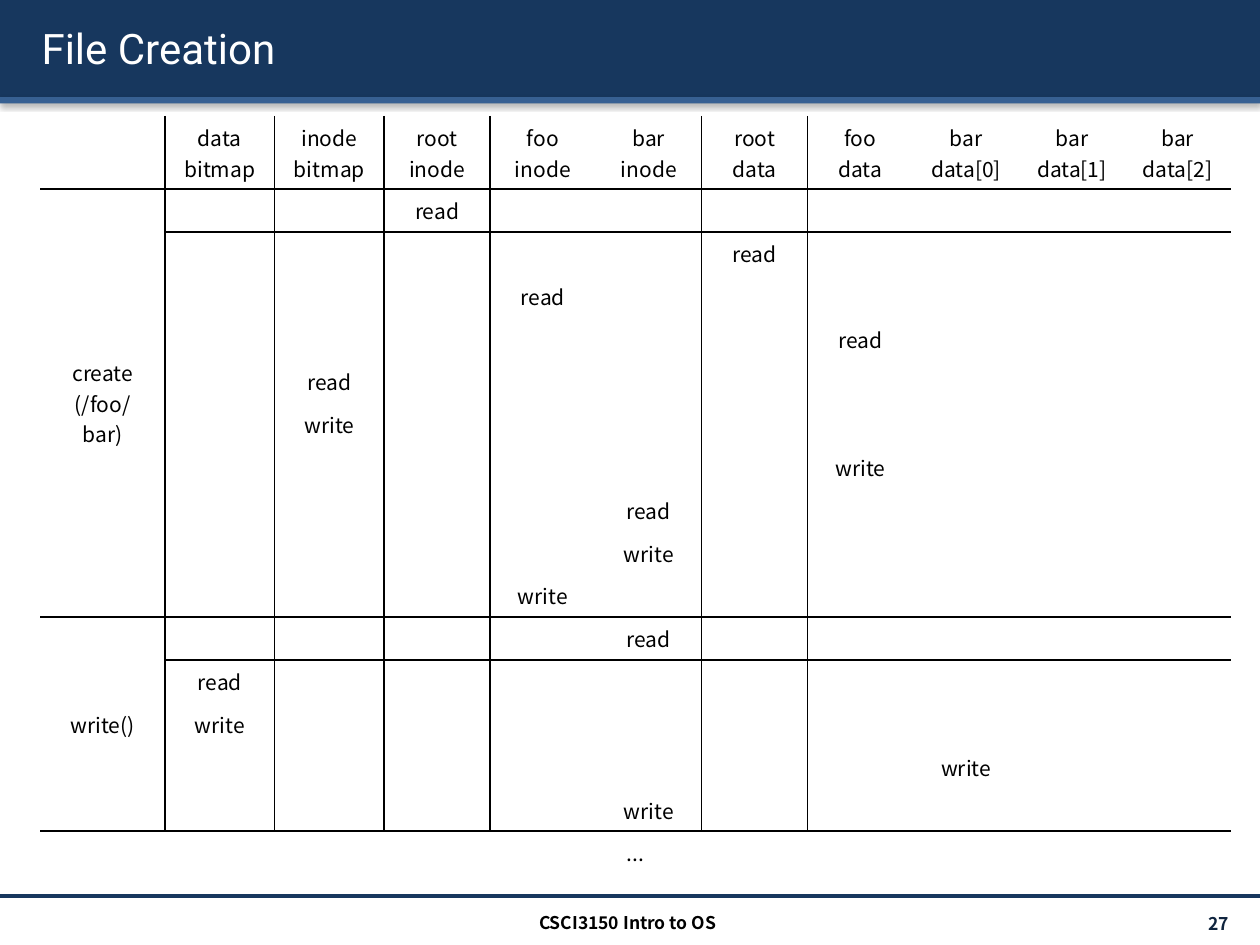
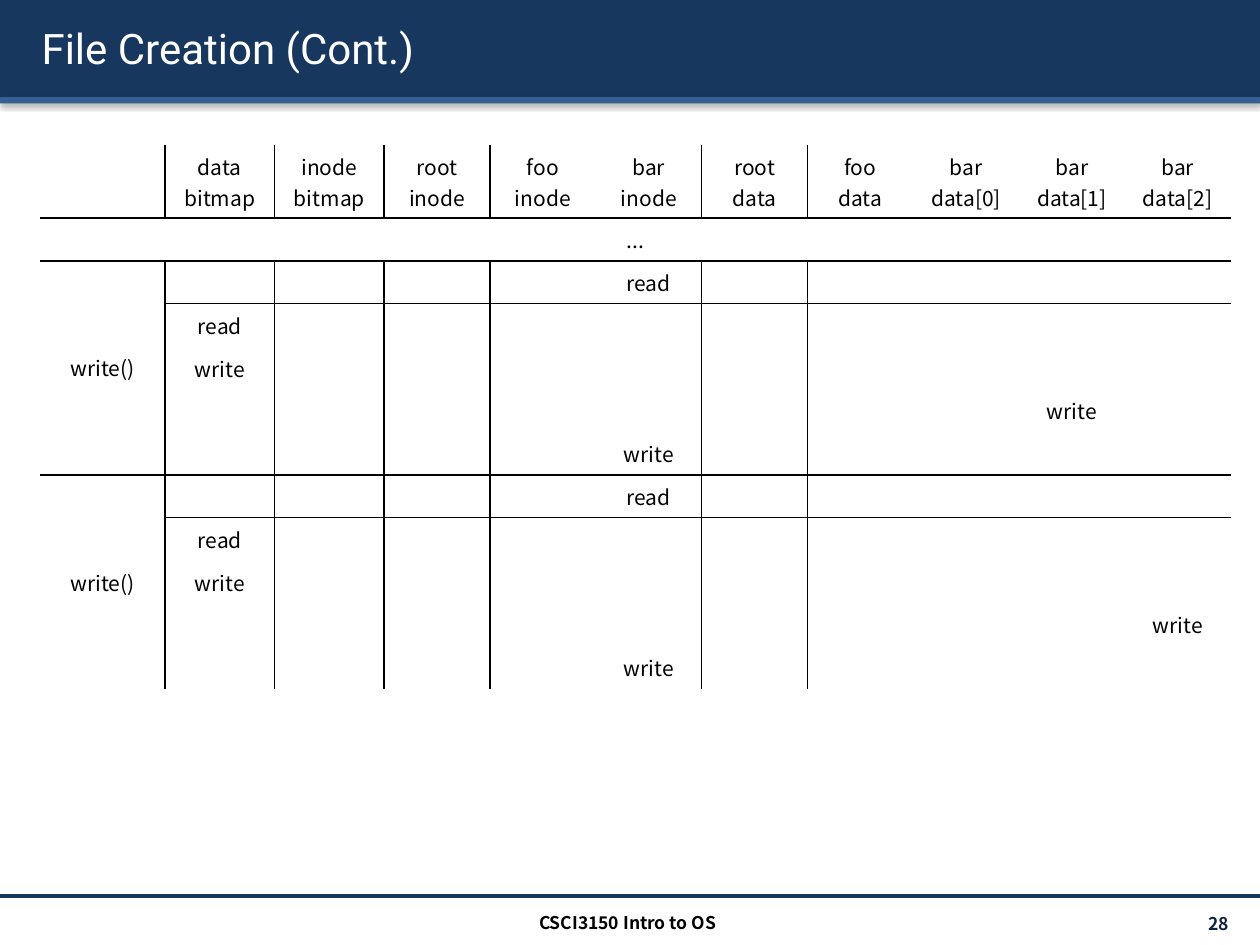
from dataclasses import dataclass

from lxml import etree
from pptx import Presentation
from pptx import util as u
from pptx.dml.color import RGBColor
from pptx.enum import shapes, text
from pptx.oxml.ns import qn


@dataclass(frozen=True)
class Theme:
    navy: str = "17375E"
    blue: str = "376092"
    number: str = "0F243E"
    ink: str = "000000"
    white: str = "FFFFFF"
    title_font: str = "Roboto"
    body_font: str = "Noto Sans CJK KR"
    title_size: int = 24
    table_size: int = 12
    footer_size: int = 10
    rule_width: int = 1


THEME = Theme()
PLAIN_TABLE_STYLE = "{2D5ABB26-0587-4C30-8999-92F81FD0307C}"
FIRST_PAGE_NUMBER = 27

# Table structure
HEADERS = ["", "data\nbitmap", "inode\nbitmap", "root\ninode", "foo\ninode",
           "bar\ninode", "root\ndata", "foo\ndata", "bar\ndata[0]",
           "bar\ndata[1]", "bar\ndata[2]"]
COLUMN_WIDTHS = [0.99] + [0.87] * 2 + [0.84] * 8
GROUP_ENDS = (0, 2, 5)
HEADER_HEIGHT, ROW_HEIGHT = 0.58, 0.34
(DATA_BITMAP, INODE_BITMAP, ROOT_INODE, FOO_INODE, BAR_INODE,
 ROOT_DATA, FOO_DATA, BAR_DATA_0, BAR_DATA_1, BAR_DATA_2) = range(1, 11)

ELLIPSIS = ("...", [])
CREATE = ("create\n(/foo/bar)", [
    ("read", ROOT_INODE), ("read", ROOT_DATA), ("read", FOO_INODE),
    ("read", FOO_DATA), ("read", INODE_BITMAP), ("write", INODE_BITMAP),
    ("write", FOO_DATA), ("read", BAR_INODE), ("write", BAR_INODE),
    ("write", FOO_INODE)])


def write_call(block):
    """Accesses made by one write() that fills the given data block."""
    return ("write()", [
        ("read", BAR_INODE), ("read", DATA_BITMAP), ("write", DATA_BITMAP),
        ("write", block), ("write", BAR_INODE)])


# Title, table top and sections of each slide
PAGES = [
    ("File Creation", 0.92, [CREATE, write_call(BAR_DATA_0), ELLIPSIS]),
    ("File Creation (Cont.)", 1.15,
     [ELLIPSIS, write_call(BAR_DATA_1), write_call(BAR_DATA_2)]),
]


def rgb(color):
    return RGBColor.from_string(color)


def style(para, size, color, font, bold=False, align=text.PP_ALIGN.LEFT):
    para.alignment = align
    para.font.size = u.Pt(size)
    para.font.bold = bold
    para.font.color.rgb = rgb(color)
    para.font.name = font


def add_shadow(effects, blur, distance, angle, opacity):
    shadow = etree.SubElement(
        effects, qn("a:outerShdw"), blurRad=str(u.Pt(blur)),
        dist=str(u.Pt(distance)), dir=str(angle * 60000), rotWithShape="0")
    color = etree.SubElement(shadow, qn("a:srgbClr"), val=THEME.ink)
    etree.SubElement(color, qn("a:alpha"), val=str(opacity * 1000))


# Bands and footer rule, shared through the layout
def add_frame(layout, page):
    parts = []
    for top, height, color in ((0, 0.77, THEME.navy), (0.77, 0.05, THEME.blue)):
        band = page.shapes.add_shape(
            shapes.MSO_SHAPE.RECTANGLE, 0, u.Inches(top), u.Inches(10), u.Inches(height))
        band.fill.solid()
        band.fill.fore_color.rgb = rgb(color)
        band.line.fill.background()
        band.shadow.inherit = False
        add_shadow(band._element.spPr.find(qn("a:effectLst")), 3.1, 1.6, 90, 38)
        parts.append(band)
    rule = page.shapes.add_connector(
        shapes.MSO_CONNECTOR.STRAIGHT, 0, u.Inches(7.11), u.Inches(10), u.Inches(7.11))
    rule.line.color.rgb = rgb(THEME.navy)
    rule.line.width = u.Pt(2)
    etree.SubElement(rule._element.spPr, qn("a:effectLst"))
    parts.append(rule)
    for part in parts:
        layout.shapes._spTree.append(part._element)


def add_title(page, title, left, top, width, height):
    box = page.shapes.title
    box.left, box.top, box.width, box.height = map(u.Inches, (left, top, width, height))
    frame = box.text_frame
    frame.text = title
    frame.auto_size = text.MSO_AUTO_SIZE.NONE
    frame.vertical_anchor = text.MSO_ANCHOR.MIDDLE
    para = frame.paragraphs[0]
    style(para, THEME.title_size, THEME.white, THEME.title_font)
    # Text shadow follows the fill in the run properties
    effects = etree.Element(qn("a:effectLst"))
    add_shadow(effects, 1, 2, 45, 100)
    para._p.pPr.find(qn("a:defRPr")).find(qn("a:solidFill")).addnext(effects)


def add_footer_text(page, words, color, align, left, top, width, height):
    box = page.shapes.add_textbox(*map(u.Inches, (left, top, width, height)))
    frame = box.text_frame
    frame.word_wrap = True
    frame.vertical_anchor = text.MSO_ANCHOR.MIDDLE
    frame.text = words
    style(frame.paragraphs[0], THEME.footer_size, color, THEME.body_font, True, align)


# Access table
def set_borders(cell, sides):
    properties = cell._tc.get_or_add_tcPr()
    for side in ("L", "R", "T", "B"):
        if side in sides:
            line = etree.SubElement(
                properties, qn(f"a:ln{side}"), w=str(u.Pt(THEME.rule_width)))
            fill = etree.SubElement(line, qn("a:solidFill"))
            etree.SubElement(fill, qn("a:srgbClr"), val=THEME.ink)


def format_cell(cell, words, sides):
    cell.text = words
    cell.vertical_anchor = text.MSO_ANCHOR.MIDDLE
    cell.margin_left = cell.margin_right = u.Inches(0.12 if "/" in words else 0.14)
    cell.margin_top = cell.margin_bottom = u.Inches(0.05)
    for para in cell.text_frame.paragraphs:
        style(para, THEME.table_size, THEME.ink, THEME.body_font,
              align=text.PP_ALIGN.CENTER)
        if not words:
            etree.SubElement(para._p, qn("a:endParaRPr"), sz=str(THEME.table_size * 100))
    set_borders(cell, sides)
    cell.fill.background()


def add_access_table(page, sections, left, top):
    # Lay the sections out as rows of words and note where they meet
    rows, spans, boundaries = [HEADERS], [], {1}
    for label, accesses in sections:
        start = len(rows)
        for operation, column in accesses or [("", 0)]:
            row = [""] * len(HEADERS)
            row[column] = operation
            rows.append(row)
        rows[start][0] = label
        last_column = 0 if accesses else len(HEADERS) - 1
        spans.append((start, len(rows) - 1, last_column))
        boundaries.add(len(rows))
    boundaries.discard(len(rows))
    full_rows = {start for start, _, last_column in spans if last_column}

    height = HEADER_HEIGHT + ROW_HEIGHT * (len(rows) - 1)
    table = page.shapes.add_table(
        len(rows), len(HEADERS), u.Inches(left), u.Inches(top),
        u.Inches(sum(COLUMN_WIDTHS)), u.Inches(height)).table
    table.first_row = table.horz_banding = False
    table._tbl.tblPr.find(qn("a:tableStyleId")).text = PLAIN_TABLE_STYLE
    for column, width in zip(table.columns, COLUMN_WIDTHS):
        column.width = u.Inches(width)

    for r, row in enumerate(rows):
        table.rows[r].height = u.Inches(ROW_HEIGHT if r else HEADER_HEIGHT)
        for c, words in enumerate(row):
            sides = {"T"} if r in boundaries else set()
            if r + 1 in boundaries:
                sides.add("B")
            if r not in full_rows:
                sides |= {"R"} if c in GROUP_ENDS else set()
                sides |= {"L"} if c - 1 in GROUP_ENDS else set()
            format_cell(table.cell(r, c), words, sides)
    for start, end, last_column in spans:
        table.cell(start, 0).merge(table.cell(end, last_column))


def build_page(page, number, title, table_top, sections):
    add_title(page, title, 0.23, 0.06, 9.61, 0.64)
    add_footer_text(page, str(number), THEME.number, text.PP_ALIGN.RIGHT,
                    8.71, 7.21, 1.14, 0.24)
    add_footer_text(page, "CSCI3150 Intro to OS", THEME.ink, text.PP_ALIGN.CENTER,
                    3.32, 7.2, 3.32, 0.24)
    add_access_table(page, sections, 0.32, table_top)


def main():
    deck = Presentation()
    deck.slide_width, deck.slide_height = u.Inches(10), u.Inches(7.5)
    layout = deck.slide_layouts[5]
    for index, content in enumerate(PAGES):
        page = deck.slides.add_slide(layout)
        if index == 0:
            add_frame(layout, page)
        build_page(page, FIRST_PAGE_NUMBER + index, *content)
    deck.save("out.pptx")


if __name__ == "__main__":
    main()
